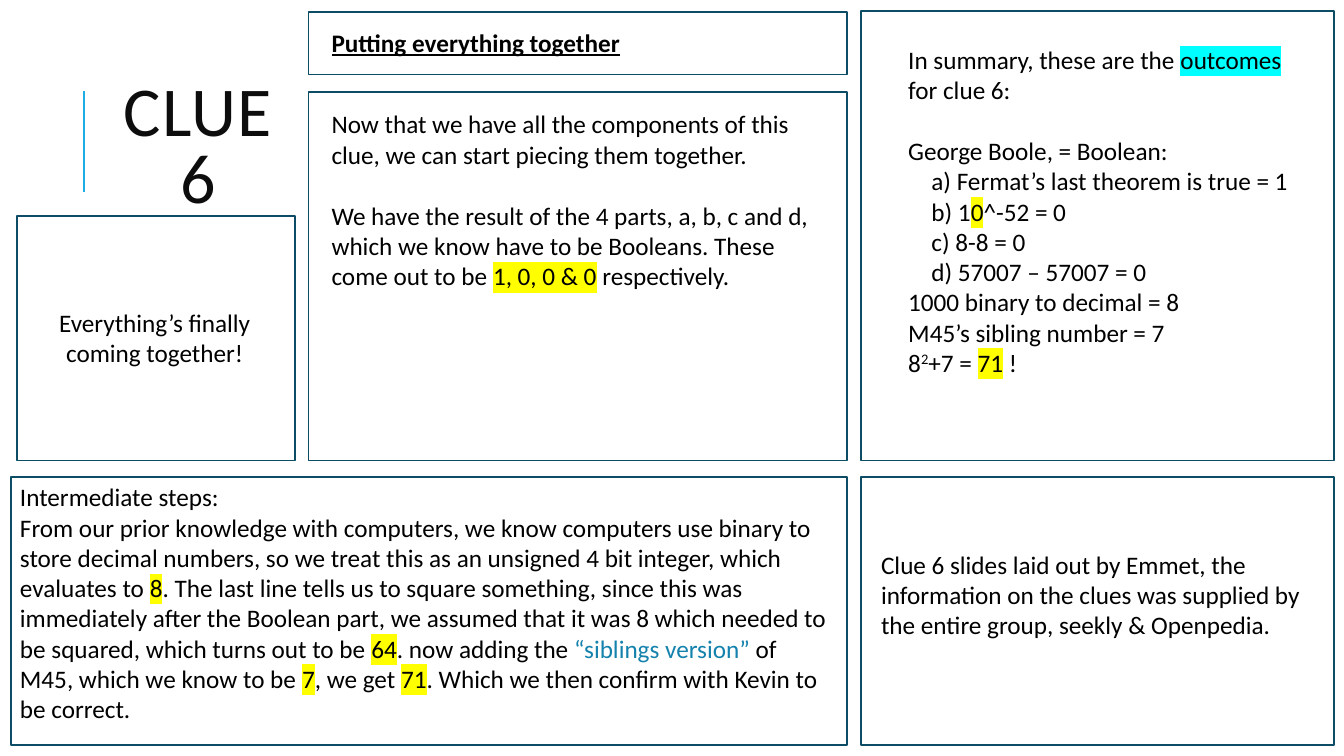
from lxml import etree
from pptx import Presentation
from pptx import util as u
from pptx.dml.color import RGBColor
from pptx.enum import shapes, text
from pptx.oxml.ns import qn

PX = 9144  # EMU per px, 100 px to the inch
COLORS = {
    "ink": "000000", "title": "0D0D0D", "frame": "0C4C64", "rule": "1CADE4",
    "link": "1482AC", "yellow": "FFFF00", "cyan": "00FFFF",
}
LINE_GAP = 22  # points, the height of one line of body text


def px(*lengths):
    return [u.Emu(length * PX) for length in lengths]


def rgb(name):
    return RGBColor.from_string(COLORS[name])


def add_frame(page, box):
    frame = page.shapes.add_shape(shapes.MSO_SHAPE.RECTANGLE, *px(*box))
    frame.shadow.inherit = False
    frame.fill.background()
    frame.line.color.rgb = rgb("frame")
    frame.line.width = u.Pt(1.25)


def add_span(para, words, style=None):
    """Add a run; style is a highlight colour, "link", "super" or None."""
    span = para.add_run()
    span.text = words
    if style == "link":
        span.font.color.rgb = rgb("link")
    elif style == "super":
        span.font._element.set("baseline", "30000")
    elif style:
        highlight = etree.SubElement(span.font._element, qn("a:highlight"))
        etree.SubElement(highlight, qn("a:srgbClr"), val=COLORS[style])


def add_text(page, box, paras, size=18, color="ink", align=text.PP_ALIGN.LEFT):
    """Each paragraph is a list of spans: plain strings or (words, style)."""
    area = page.shapes.add_textbox(*px(*box))
    frame = area.text_frame
    frame.word_wrap = True
    for index, spans in enumerate(paras):
        para = frame.paragraphs[0] if index == 0 else frame.add_paragraph()
        para.alignment = align
        para.font.name = "Calibri"
        para.font.size = u.Pt(size)
        para.font.color.rgb = rgb(color)
        for span in spans:
            add_span(para, *([span] if isinstance(span, str) else span))
    return frame


def add_title(page, box):
    left, top, width, height = box
    rule = page.shapes.add_connector(
        shapes.MSO_CONNECTOR.STRAIGHT, *px(left - 5, top + 87, left - 5, top - 13))
    rule.line.color.rgb = rgb("rule")
    rule.line.width = u.Pt(1.5)
    etree.SubElement(rule._element.spPr, qn("a:effectLst"))
    frame = add_text(page, box, [["CLUE 6"]], 50, "title", text.PP_ALIGN.CENTER)
    frame.vertical_anchor = text.MSO_ANCHOR.MIDDLE
    para = frame.paragraphs[0]
    para.line_spacing = 0.8
    para.runs[0].font._element.set("spc", "100")


def add_heading(page, box):
    left, top, width, height = box
    add_frame(page, box)
    frame = add_text(page, (left + 13, top + 10, 336, 40),
                     [["Putting everything together"]])
    frame.paragraphs[0].font.bold = True
    frame.paragraphs[0].font.underline = True


def add_remark(page, box):
    left, top, width, height = box
    add_frame(page, box)
    add_text(page, (left, top + 86, width - 3, 71),
             [["Everything’s finally coming together!"]],
             align=text.PP_ALIGN.CENTER)


def add_explanation(page, box):
    left, top, width, height = box
    add_frame(page, box)
    frame = add_text(page, (left + 13, top + 12, width - 28, 252), [
        ["Now that we have all the components of this clue, "
         "we can start piecing them together."],
        ["We have the result of the 4 parts, a, b, c and d, which we know have "
         "to be Booleans. These come out to be ",
         ("1, 0, 0 & 0", "yellow"), " respectively."],
    ])
    frame.paragraphs[1].space_before = u.Pt(LINE_GAP)


def add_outcomes(page, box):
    left, top, width, height = box
    add_frame(page, box)
    frame = add_text(page, (left + 37, top + 28, 407, 343), [
        ["In summary, these are the ", ("outcomes", "cyan"), " for clue 6:"],
        ["George Boole, = Boolean:"],
        ["a) Fermat’s last theorem is true = 1"],
        ["b) 1", ("0", "yellow"), "^-52 = 0"],
        ["c) 8-8 = 0"],
        ["d) 57007 – 57007 = 0"],
        ["1000 binary to decimal = 8"],
        ["M45’s sibling number = 7"],
        ["8", ("2", "super"), "+7 = ", ("71", "yellow"), " !"],
    ])
    frame.paragraphs[1].space_before = u.Pt(LINE_GAP)
    for para in frame.paragraphs[2:6]:
        para._p.get_or_add_pPr().set("marL", str(23 * PX))


def add_steps(page, box):
    left, top, width, height = box
    add_frame(page, box)
    add_text(page, (left - 1, top, width - 6, height), [
        ["Intermediate steps:"],
        ["From our prior knowledge with computers, we know computers use binary "
         "to store decimal numbers, so we treat this as an unsigned 4 bit "
         "integer, which evaluates to ", ("8", "yellow"),
         ". The last line tells us to square something, since this was "
         "immediately after the Boolean part, we assumed that it was 8 which "
         "needed to be squared, which turns out to be ", ("64", "yellow"),
         ". now adding the ", ("“siblings version”", "link"),
         " of M45, which we know to be ", ("7", "yellow"), ", we get ",
         ("71", "yellow"), ". Which we then confirm with Kevin to be correct."],
    ])


def add_credits(page, box):
    left, top, width, height = box
    add_frame(page, box)
    add_text(page, (left + 10, top + 67, width - 21, 101), [
        ["Clue 6 slides laid out by Emmet, the information on the clues was "
         "supplied by the entire group, seekly & Openpedia."]])


def main():
    deck = Presentation()
    deck.slide_width, deck.slide_height = px(1333, 750)
    page = deck.slides.add_slide(deck.slide_layouts[6])
    add_title(page, (88, 103, 218, 92))
    add_heading(page, (306, 12, 534, 62))
    add_remark(page, (17, 214, 276, 243))
    add_explanation(page, (306, 91, 534, 366))
    add_outcomes(page, (854, 11, 469, 446))
    add_steps(page, (11, 473, 829, 266))
    add_credits(page, (854, 473, 469, 266))
    deck.save("out.pptx")


if __name__ == "__main__":
    main()
